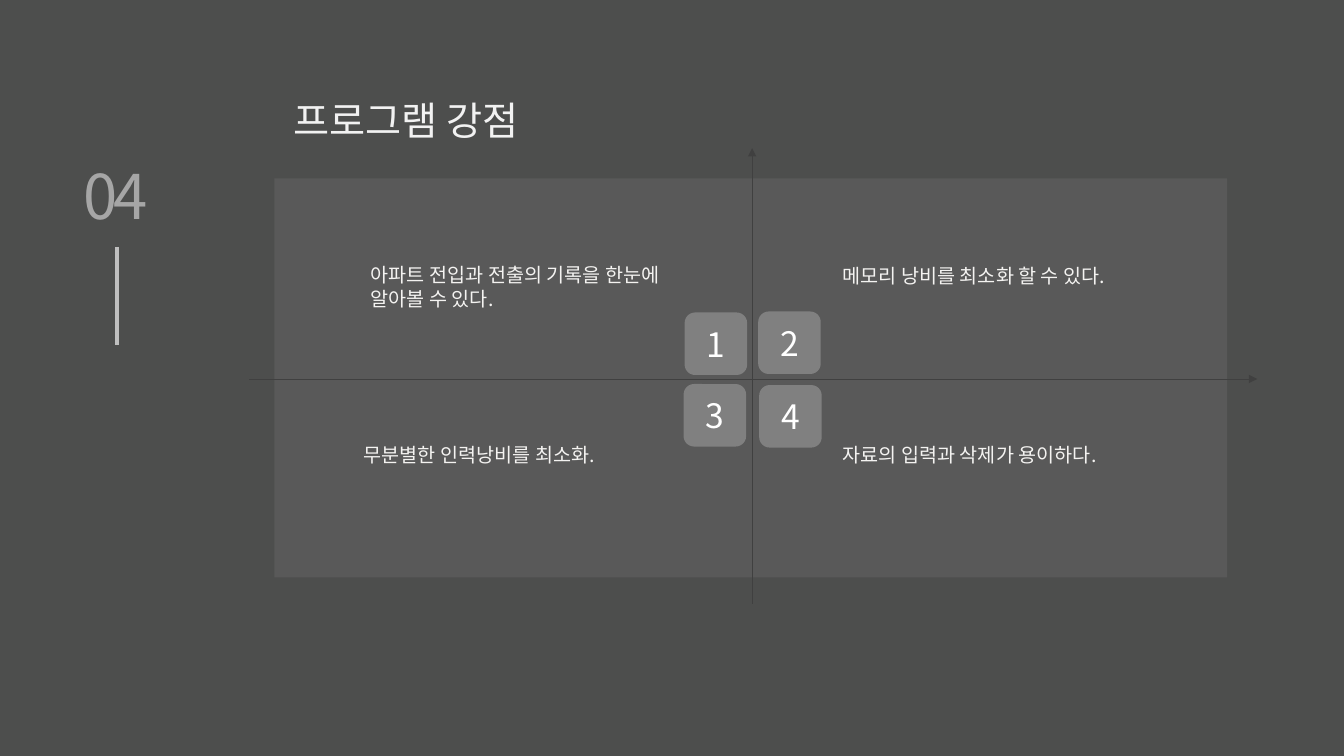
"""Build the program strengths slide with a four-quadrant panel."""
import lxml.etree
import pptx
import pptx.dml.color
import pptx.enum.shapes
import pptx.enum.text
import pptx.oxml.ns
import pptx.util

Inches = pptx.util.Inches
FONT = "Noto Sans CJK KR"
COLORS = {
    "background": "4D4E4D",
    "panel": "595959",
    "axis": "404040",
    "badge": "808080",
    "badge_text": "FFFFFF",
    "body": "F4F3F1",
    "title": "F2F2F2",
    "number": "A6A6A6",
    "rule": "BFBFBF",
}
STRENGTHS = [
    ("1", (4.07, 1.33), (0.86, 0.79, 0.57), "아파트 전입과 전출의 기록을 한눈에 알아볼 수 있다."),
    ("2", (4.8, 1.32), (5.54, 0.8, 0.34), "메모리 낭비를 최소화 할 수 있다."),
    ("3", (4.06, 2.04), (0.79, 2.57, 0.34), "무분별한 인력낭비를 최소화."),
    ("4", (4.81, 2.05), (5.54, 2.57, 0.34), "자료의 입력과 삭제가 용이하다."),
]


def rgb(name):
    """Return the named colour."""
    return pptx.dml.color.RGBColor.from_string(COLORS[name])


def add_element(parent, tag, **attributes):
    """Append a DrawingML element to its parent."""
    return lxml.etree.SubElement(parent, pptx.oxml.ns.qn(tag), **attributes)


def write(shape, text, size, color, centered=False, spacing=None):
    """Write one styled run into a shape."""
    shape.text_frame.word_wrap = True
    paragraph = shape.text_frame.paragraphs[0]
    if centered:
        paragraph.alignment = pptx.enum.text.PP_ALIGN.CENTER
    run = paragraph.add_run()
    run.text = text
    run.font.size = pptx.util.Pt(size)
    run.font.color.rgb = rgb(color)
    run.font.name = FONT
    properties = run._r.get_or_add_rPr()
    add_element(properties, "a:ea", typeface=FONT)
    if spacing is not None:
        properties.set("spc", str(spacing * 100))


def add_text(slide, box, text, size, color, **options):
    """Add a wrapped text box."""
    shape = slide.shapes.add_textbox(*map(Inches, box))
    write(shape, text, size, color, **options)


def add_block(slide, kind, box, color):
    """Add a flat filled shape without an outline."""
    shape = slide.shapes.add_shape(kind, *map(Inches, box))
    shape.shadow.inherit = False
    shape.fill.solid()
    shape.fill.fore_color.rgb = rgb(color)
    shape.line.fill.background()
    return shape


def add_line(slide, ends, color, width, arrow=False):
    """Add a straight line, with an arrowhead at its end on request."""
    connector = slide.shapes.add_connector(
        pptx.enum.shapes.MSO_CONNECTOR.STRAIGHT, *map(Inches, ends))
    connector.line.color.rgb = rgb(color)
    connector.line.width = pptx.util.Pt(width)
    if arrow:
        add_element(connector.line._get_or_add_ln(), "a:tailEnd", type="triangle")
    add_element(connector._element.spPr, "a:effectLst")


def add_section_marker(slide, left, top, width, height):
    """Add the section number with the vertical rule below it."""
    add_text(slide, (left, top, width, 0.84), "04", 44, "number", centered=True, spacing=-3)
    center = left + width / 2 + 0.01
    add_line(slide, (center, top + 0.93, center, top + height), "rule", 2.25)


def add_quadrants(slide, left, top, width, height):
    """Add the panel, its two axes, and the numbered strengths."""
    kinds = pptx.enum.shapes.MSO_SHAPE
    add_block(slide, kinds.RECTANGLE, (left, top, width, height), "panel")
    center_x, center_y = left + 4.74, top + 1.99
    add_line(slide, (center_x, top + height + 0.26, center_x, top - 0.3), "axis", 0.5, True)
    add_line(slide, (left - 0.25, center_y, left + width + 0.3, center_y), "axis", 0.5, True)
    for number, (badge_x, badge_y), (text_x, text_y, text_height), text in STRENGTHS:
        badge = add_block(slide, kinds.ROUNDED_RECTANGLE,
                          (left + badge_x, top + badge_y, 0.62, 0.62), "badge")
        badge.text_frame.vertical_anchor = pptx.enum.text.MSO_ANCHOR.MIDDLE
        write(badge, number, 24, "badge_text", centered=True)
        add_text(slide, (left + text_x, top + text_y, 3.14, text_height), text, 14, "body")


def build():
    """Build and save the presentation."""
    presentation = pptx.Presentation()
    presentation.slide_width = Inches(13.33)
    presentation.slide_height = Inches(7.5)
    slide = presentation.slides.add_slide(presentation.slide_layouts[6])
    slide.background.fill.solid()
    slide.background.fill.fore_color.rgb = rgb("background")
    add_section_marker(slide, 0.53, 1.52, 1.24, 1.9)
    add_quadrants(slide, 2.72, 1.77, 9.45, 3.96)
    add_text(slide, (2.81, 0.91, 3.19, 0.57), "프로그램 강점", 28, "title")
    presentation.save("out.pptx")


build()
